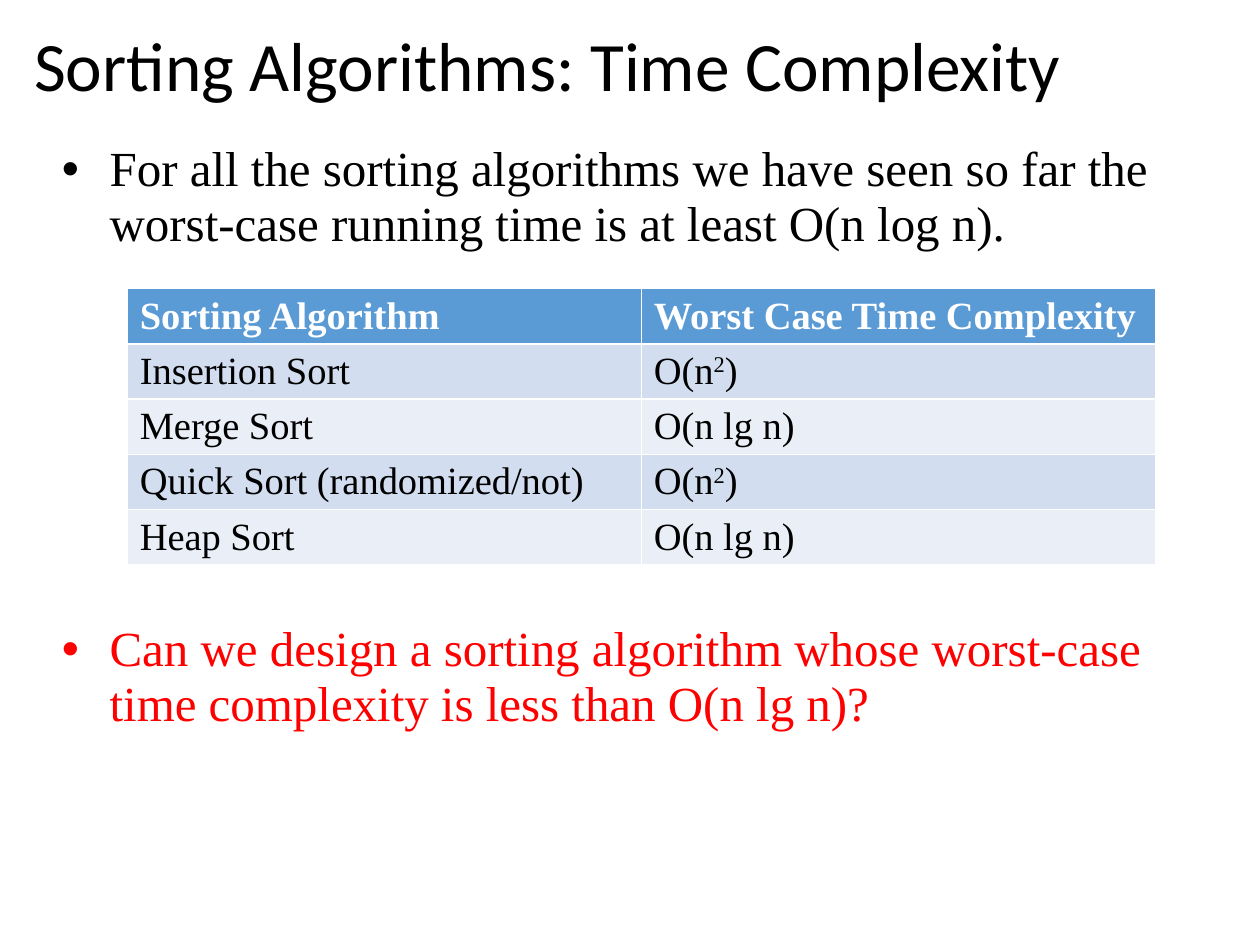
import pptx
import pptx.util
import pptx.dml.color
import pptx.enum.text
import lxml.etree
from pptx.util import Inches

RGBColor = pptx.dml.color.RGBColor
BLACK = RGBColor(0x00, 0x00, 0x00)
WHITE = RGBColor(0xFF, 0xFF, 0xFF)
RED = RGBColor(0xFF, 0x00, 0x00)
BLUE = RGBColor(0x5B, 0x9B, 0xD5)
BANDS = (RGBColor(0xEA, 0xEF, 0xF7), RGBColor(0xD2, 0xDE, 0xEF))


class SlideBuilder:
    """Holds the style and the current slide and adds elements to it."""

    heading_font = "Calibri"
    body_font = "Times New Roman"

    def __init__(self, prs):
        self.s = prs.slides.add_slide(prs.slide_layouts[1])

    def place(self, sp, left, top, width, height):
        sp.left, sp.top = Inches(left), Inches(top)
        sp.width, sp.height = Inches(width), Inches(height)
        tf = sp.text_frame
        tf.word_wrap = True
        tf.auto_size = pptx.enum.text.MSO_AUTO_SIZE.NONE
        return tf

    def format(self, p, font, size, color, bold=False):
        for r in p.runs:
            r.font.name = font
            r.font.size = pptx.util.Pt(size)
            r.font.color.rgb = color
            r.font.bold = bold

    def title(self, text, *box):
        tf = self.place(self.s.shapes.title, *box)
        tf.vertical_anchor = pptx.enum.text.MSO_ANCHOR.MIDDLE
        tf.text = text
        p = tf.paragraphs[0]
        p.alignment = pptx.enum.text.PP_ALIGN.LEFT
        p.line_spacing = 0.9
        self.format(p, self.heading_font, 39.6, BLACK)

    def bullets(self, items, *box):
        tf = self.place(self.s.placeholders[1], *box)
        tf.text = "\n".join(text for text, color, space in items)
        for p, (text, color, space) in zip(tf.paragraphs, items):
            p.line_spacing = 0.94
            p.space_before = pptx.util.Pt(space)
            pPr = p._p.get_or_add_pPr()
            pPr.set("marL", str(Inches(0.38)))
            pPr.set("indent", str(-Inches(0.38)))
            self.format(p, self.body_font, 28, color)

    def table(self, rows, left, top, width, height):
        table = self.s.shapes.add_table(
            len(rows), len(rows[0]), Inches(left), Inches(top),
            Inches(width), Inches(height)).table
        for i, row in enumerate(rows):
            for j, text in enumerate(row):
                cell = table.cell(i, j)
                cell.fill.solid()
                cell.fill.fore_color.rgb = BANDS[i % 2] if i else BLUE
                p = cell.text_frame.paragraphs[0]
                for k, part in enumerate(text.split("^")):
                    r = p.add_run()
                    r.text = part
                    if k == 1:
                        r.font._element.set("baseline", "30000")
                self.format(p, self.body_font, 22, BLACK if i else WHITE, not i)


def main():
    prs = pptx.Presentation()
    prs.slide_width, prs.slide_height = Inches(10), Inches(7.5)
    slide = SlideBuilder(prs)
    slide.bullets([
        ("For all the sorting algorithms we have seen so far the worst-case "
         "running time is at least O(n log n).", BLACK, 10),
        ("Can we design a sorting algorithm whose worst-case time complexity "
         "is less than O(n lg n)?", RED, 211),
    ], 0.39, 1.08, 9.4, 5.69)
    slide.title("Sorting Algorithms: Time Complexity", 0.17, 0.18, 9.62, 0.74)
    slide.table([
        ("Sorting Algorithm", "Worst Case Time Complexity"),
        ("Insertion Sort", "O(n^2^)"),
        ("Merge Sort", "O(n lg n)"),
        ("Quick Sort (randomized/not)", "O(n^2^)"),
        ("Heap Sort", "O(n lg n)"),
    ], 1.01, 2.29, 8.16, 2.05)
    prs.save("out.pptx")


if __name__ == "__main__":
    main()
